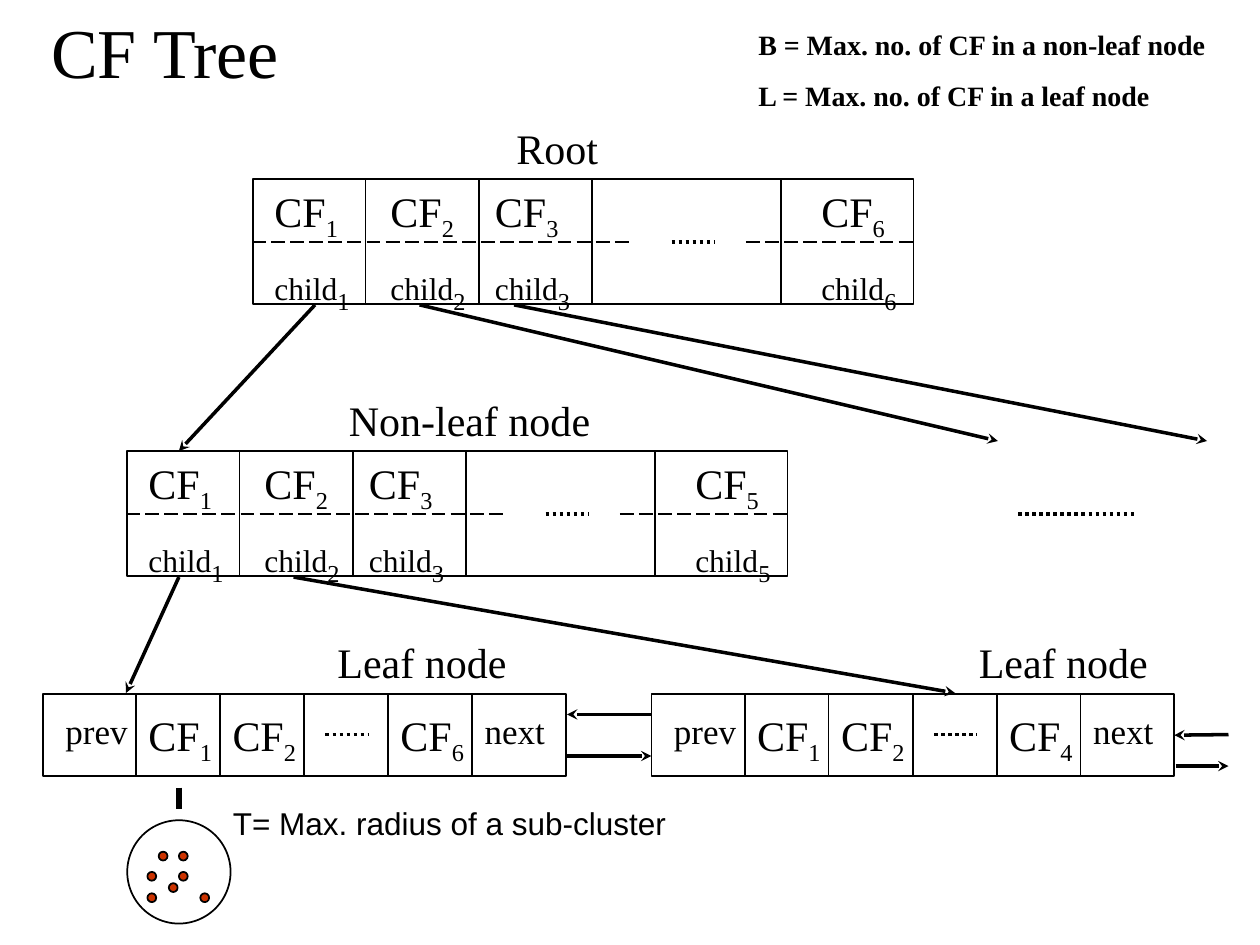
import pptx
import pptx.util
import pptx.dml.color
import pptx.enum.dml
import pptx.enum.shapes
import pptx.enum.text
import pptx.oxml
import pptx.oxml.ns

Inches = pptx.util.Inches
Pt = pptx.util.Pt
MSO_SHAPE = pptx.enum.shapes.MSO_SHAPE
MSO_LINE = pptx.enum.dml.MSO_LINE
SERIF = "Times New Roman"
BLACK = "000000"
RED = "CC3300"


def color(value):
    return pptx.dml.color.RGBColor.from_string(value)


def append_xml(parent, tag, attrs=""):
    ns = pptx.oxml.ns.nsdecls("a")
    parent.append(pptx.oxml.parse_xml(f"<a:{tag} {ns} {attrs}/>"))


def add_run(p, text, size, font=SERIF, bold=False, subscript=False):
    r = p.add_run()
    r.text = text
    r.font.size = Pt(size)
    r.font.name = font
    r.font.bold = bold
    r.font.color.rgb = color(BLACK)
    if subscript:
        r.font._element.set("baseline", "-25000")


def add_box(shapes, x, y, w, h, wrap=True):
    tf = shapes.add_textbox(Inches(x), Inches(y), Inches(w), Inches(h)).text_frame
    tf.word_wrap = wrap
    tf.auto_size = pptx.enum.text.MSO_AUTO_SIZE.SHAPE_TO_FIT_TEXT
    return tf


def add_label(shapes, text, x, y, w, h=0.5, size=24):
    add_run(add_box(shapes, x, y, w, h).paragraphs[0], text, size)


def add_indexed(shapes, text, index, x, y, w=0.75, size=24):
    p = add_box(shapes, x, y, w, 0.56).paragraphs[0]
    add_run(p, text, size)
    add_run(p, str(index), 24, subscript=True)


def add_line(shapes, x1, y1, x2, y2, width=1, dash=None, arrow=False):
    c = shapes.add_connector(pptx.enum.shapes.MSO_CONNECTOR.STRAIGHT,
                             Inches(x1), Inches(y1), Inches(x2), Inches(y2))
    c.line.color.rgb = color(BLACK)
    c.line.width = Pt(width)
    if dash:
        c.line.dash_style = dash
    if arrow:
        append_xml(c.line._get_or_add_ln(), "tailEnd", 'type="stealth"')
    append_xml(c._element.spPr, "effectLst")
    return c


def add_dots(shapes, x, y, length=0.34):
    add_line(shapes, x, y, x + length, y, 2, MSO_LINE.ROUND_DOT)


def add_outline(shapes, kind, x, y, w, h, fill=None):
    sp = shapes.add_shape(kind, Inches(x), Inches(y), Inches(w), Inches(h))
    sp.shadow.inherit = False
    sp.line.color.rgb = color(BLACK)
    sp.line.width = Pt(1)
    if fill:
        sp.fill.solid()
        sp.fill.fore_color.rgb = color(fill)
    else:
        sp.fill.background()
    return sp


def add_inner_node(shapes, x, y, last):
    add_outline(shapes, MSO_SHAPE.RECTANGLE, x + 0.01, y, 5.24, 0.99)
    for dx in (0.9, 1.8, 2.7, 4.2):
        add_line(shapes, x + dx, y, x + dx, y + 1)
    for start, end in ((0, 3), (3.92, 5.25)):
        add_line(shapes, x + start, y + 0.5, x + end, y + 0.5, dash=MSO_LINE.LONG_DASH)
    for index, dx in ((1, 0.08), (2, 1), (3, 1.83), (last, 4.42)):
        add_indexed(shapes, "CF", index, x + dx, y)
        add_indexed(shapes, "child", index, x + dx, y + 0.58, 1, 18)
    add_dots(shapes, x + 3.33, y + 0.5)


def add_leaf_node(shapes, x, last):
    sp = add_outline(shapes, MSO_SHAPE.RECTANGLE, x, 5.51, 4.15, 0.65)
    dividers = [x + 0.74 + i * 2 / 3 for i in range(5)]
    for dx in dividers:
        add_line(shapes, dx, 5.5, dx, 6.17)
    for index, column in ((1, 0), (2, 1), (last, 3)):
        add_indexed(shapes, "CF", index, dividers[column], 5.58)
    add_label(shapes, "prev", x + 0.08, 5.58, 0.75, 0.43, 20)
    add_label(shapes, "next", dividers[4], 5.58, 0.75, 0.43, 20)
    add_dots(shapes, dividers[2] + 0.17, 5.83)
    return sp


def add_cluster(shapes):
    for x, y in ((1.26, 6.76), (1.42, 6.92), (1.42, 6.76), (1.17, 7.09),
                 (1.17, 6.92), (1.34, 7.01), (1.59, 7.09)):
        add_outline(shapes, MSO_SHAPE.OVAL, x, y, 0.07, 0.07, RED)
    add_outline(shapes, MSO_SHAPE.OVAL, 1.01, 6.51, 0.82, 0.82)


def add_title(s, text):
    sp = s.shapes.title
    sp.left, sp.top, sp.width, sp.height = Inches(0), Inches(0), Inches(2.62), Inches(0.8)
    tf = sp.text_frame
    tf.vertical_anchor = pptx.enum.text.MSO_ANCHOR.MIDDLE
    p = tf.paragraphs[0]
    p.alignment = pptx.enum.text.PP_ALIGN.CENTER
    add_run(p, text, 40)


def add_legend(shapes):
    tf = add_box(shapes, 5.92, 0.17, 3.83, 0.77)
    add_run(tf.paragraphs[0], "B = Max. no. of CF in a non-leaf node", 16, bold=True)
    p = tf.add_paragraph()
    p.space_before = Pt(10)
    add_run(p, "L = Max. no. of CF in a leaf node", 16, bold=True)


def main():
    prs = pptx.Presentation()
    prs.slide_width, prs.slide_height = Inches(10), Inches(7.5)
    s = prs.slides.add_slide(prs.slide_layouts[5])
    shapes = s.shapes
    add_title(s, "CF Tree")
    add_inner_node(shapes.add_group_shape().shapes, 2, 1.42, 6)
    add_inner_node(shapes, 1, 3.58, 5)
    add_leaf_node(shapes, 0.34, 6)
    right_leaf = add_leaf_node(shapes, 5.17, 4)
    for ends in ((2.5, 2.42, 1.42, 3.58), (3.33, 2.42, 7.92, 3.5), (4.08, 2.42, 9.58, 3.5),
                 (1.42, 4.58, 1, 5.5), (2.33, 4.58, 7.58, 5.5),
                 (5.17, 5.67, 4.5, 5.67), (4.5, 6, 5.17, 6), (9.33, 6.08, 9.75, 6.08)):
        add_line(shapes, *ends, width=2, arrow=True)
    incoming = add_line(shapes, 9.75, 5.83, 9.33, 5.83, 2, arrow=True)
    incoming.end_connect(right_leaf, 3)
    add_legend(shapes)
    add_dots(shapes, 8.08, 4.08, 0.92)
    for text, x, y, w in (("Root", 4, 0.92, 1.08), ("Non-leaf node", 2.67, 3.08, 2.17),
                          ("Leaf node", 2.58, 5, 1.58), ("Leaf node", 7.67, 5, 1.58)):
        add_label(shapes, text, x, y, w)
    add_cluster(shapes.add_group_shape().shapes)
    add_line(shapes, 1.42, 6.25, 1.42, 6.42, 3)
    tf = add_box(shapes, 1.75, 6.33, 3.71, 0.4, wrap=False)
    add_run(tf.paragraphs[0], "T= Max. radius of a sub-cluster", 18, "Arial")
    prs.save("out.pptx")


if __name__ == "__main__":
    main()
